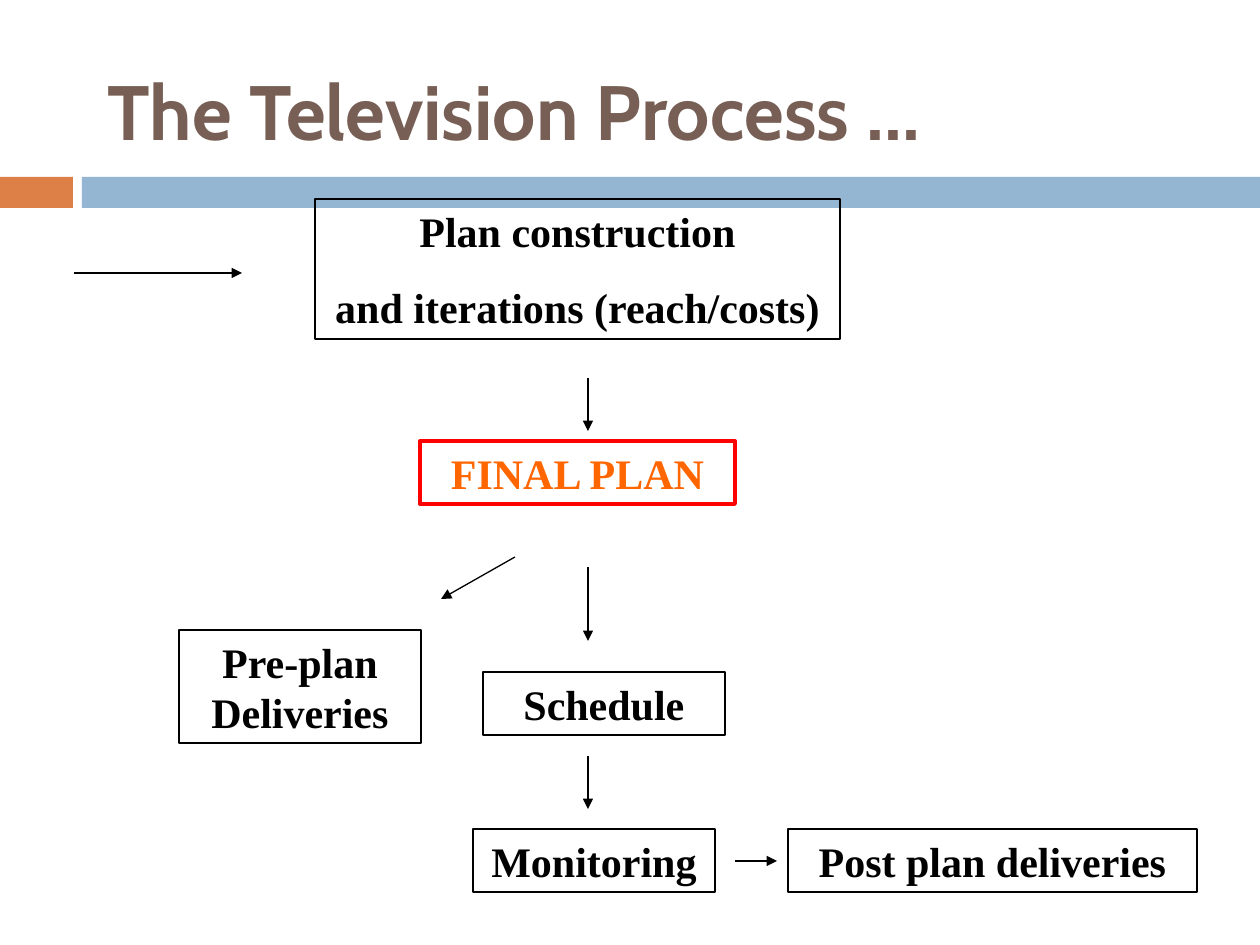
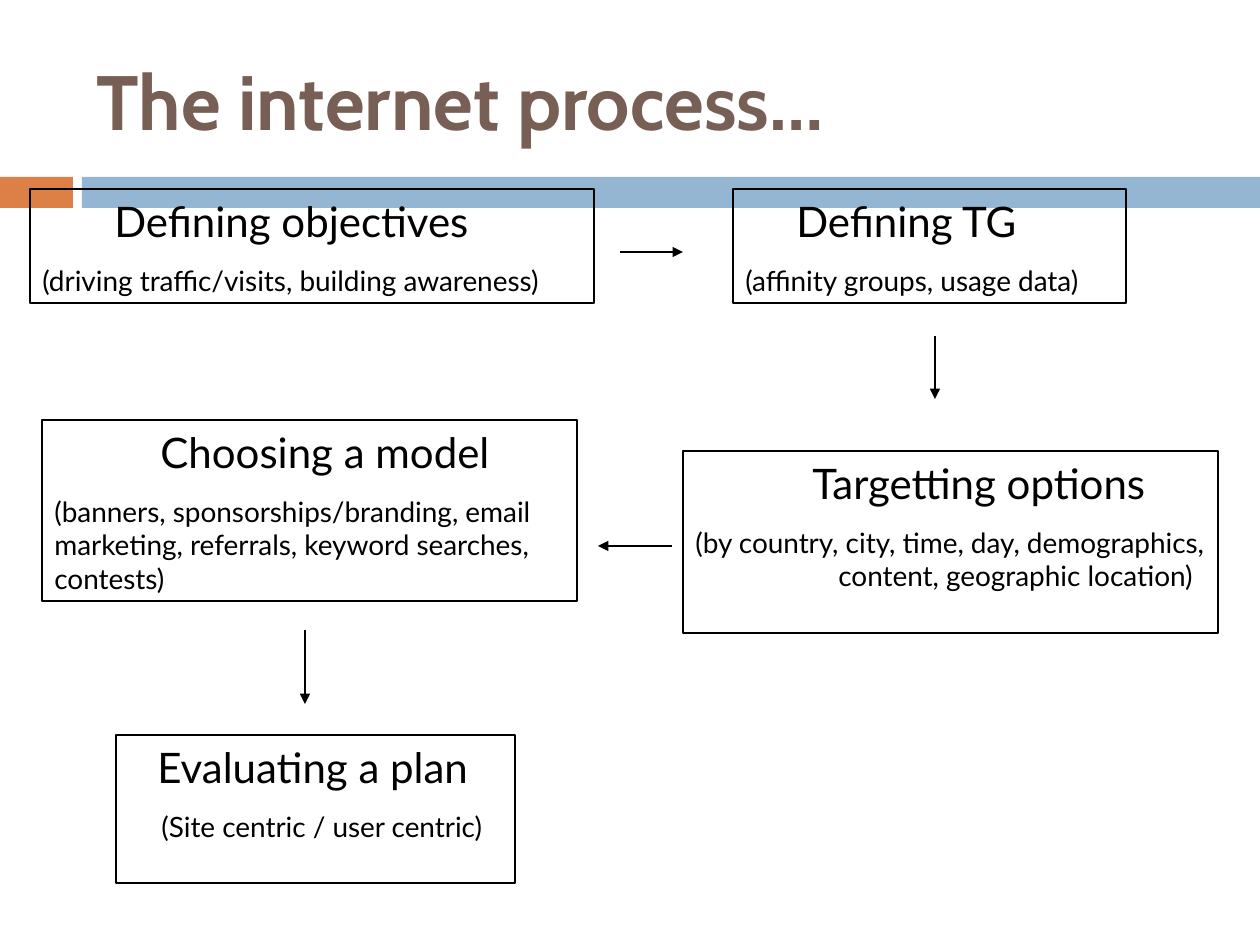
from lxml import etree
from pptx import Presentation
from pptx.dml.color import RGBColor
from pptx.enum.shapes import MSO_CONNECTOR, MSO_SHAPE
from pptx.enum.text import MSO_ANCHOR, MSO_AUTO_SIZE, PP_ALIGN
from pptx.oxml.ns import qn
from pptx.util import Emu, Pt

STRAIGHT = MSO_CONNECTOR.STRAIGHT
RECTANGLE = MSO_SHAPE.RECTANGLE
TOP, MIDDLE = MSO_ANCHOR.TOP, MSO_ANCHOR.MIDDLE
LEFT, CENTER = PP_ALIGN.LEFT, PP_ALIGN.CENTER
FIXED_SIZE = MSO_AUTO_SIZE.NONE

PIXELS_PER_INCH = 126
SLIDE_WIDTH, SLIDE_HEIGHT = 1260, 945
TITLE_ONLY_LAYOUT = 5
FIRST_BAND_ID = 101

BLACK, BROWN, ORANGE, BLUE = "000000", "775F55", "DD8047", "94B6D2"
RED, BRIGHT_ORANGE = "FF0000", "FF6600"
TITLE_FONT, TELEVISION_FONT, INTERNET_FONT = "Cabin", "Times New Roman", "Lato"

BANDS = [((0, 177, 73, 31), ORANGE), ((82, 177, 1178, 31), BLUE)]

TELEVISION_STEPS = [
    ((315, 199, 525, 140), ["Plan construction", "and iterations (reach/costs)"]),
    ((483, 672, 242, 63), ["Schedule"]),
    ((179, 630, 242, 113), ["Pre-plan Deliveries"]),
    ((473, 829, 242, 63), ["Monitoring"]),
    ((788, 829, 409, 63), ["Post plan deliveries"]),
]
TELEVISION_ARROWS = [
    (74, 273, 242, 273),
    (588, 378, 588, 431),
    (515, 557, 441, 599),
    (588, 567, 588, 641),
    (588, 756, 588, 809),
    (735, 861, 777, 861),
]

INTERNET_STEPS = [
    ((30, 189, 564, 114), ("Defining objectives", 72),
     ("(driving traffic/visits, building awareness)", 0, 0)),
    ((733, 189, 393, 114), ("Defining TG", 51),
     ("(affinity groups, usage data)", 0, 0)),
    ((683, 451, 535, 182), ("Targetting options", 117),
     ("(by country, city, time, day, demographics, content, geographic location)",
      143, -143)),
    ((42, 420, 535, 181), ("Choosing a model", 106),
     ("(banners, sponsorships/branding, email marketing, referrals, "
      "keyword searches, contests)", 0, 0)),
    ((116, 735, 399, 148), ("Evaluating a plan", 29),
     ("(Site centric / user centric)", 33, 0)),
]
INTERNET_ARROWS = [
    (620, 252, 683, 252),
    (935, 336, 935, 399),
    (672, 546, 598, 546),
    (305, 630, 305, 704),
]


def px(length):
    """Turn whole pixels into EMU."""
    return Emu(round(length * 914400 / PIXELS_PER_INCH))


def color(value):
    """Turn a hex string into a colour."""
    return RGBColor.from_string(value)


def add_text(paragraph, text, font_name, size, text_color=BLACK, bold=False):
    """Add one formatted run to a paragraph."""
    run = paragraph.add_run()
    run.text = text
    run.font.name = font_name
    run.font.size = Pt(size)
    run.font.bold = bold
    run.font.color.rgb = color(text_color)


def indent(paragraph, left, first_line=0):
    """Set the left margin and first-line indent of a paragraph."""
    properties = paragraph._p.get_or_add_pPr()
    properties.set("marL", str(px(left)))
    properties.set("indent", str(px(first_line)))


def add_bands(slide, layout):
    """Draw the two bands and hand them to the shared layout."""
    for number, (box, fill_color) in enumerate(BANDS):
        band = slide.shapes.add_shape(RECTANGLE, *map(px, box))
        band.shadow.inherit = False
        band.fill.solid()
        band.fill.fore_color.rgb = color(fill_color)
        band.line.fill.background()
        band.element.nvSpPr.cNvPr.set("id", str(FIRST_BAND_ID + number))
        layout.shapes.element.append(band.element)


def set_title(slide, box, text):
    """Place and format the slide title."""
    title = slide.shapes.title
    title.left, title.top, title.width, title.height = map(px, box)
    frame = title.text_frame
    frame.auto_size = FIXED_SIZE
    frame.word_wrap = True
    frame.vertical_anchor = MIDDLE
    paragraph = frame.paragraphs[0]
    paragraph.alignment = LEFT
    add_text(paragraph, text, TITLE_FONT, 44, BROWN, True)


def add_box(slide, box, line_color=BLACK, line_width=1):
    """Add an outlined step box and return its text frame."""
    shape = slide.shapes.add_shape(RECTANGLE, *map(px, box))
    shape.shadow.inherit = False
    shape.fill.background()
    shape.line.color.rgb = color(line_color)
    shape.line.width = Pt(line_width)
    frame = shape.text_frame
    frame.word_wrap = True
    frame.vertical_anchor = TOP
    return frame


def add_arrows(slide, arrows):
    """Add thin black arrows between steps."""
    for ends in arrows:
        arrow = slide.shapes.add_connector(STRAIGHT, *map(px, ends))
        arrow.line.color.rgb = color(BLACK)
        arrow.line.width = Pt(0.75)
        properties = arrow.element.spPr
        etree.SubElement(properties.find(qn("a:ln")), qn("a:tailEnd"), type="triangle")
        etree.SubElement(properties, qn("a:effectLst"))


def add_television_step(slide, box, lines, text_color=BLACK, line_color=BLACK, line_width=0.75):
    """Add a box with centred bold lines."""
    frame = add_box(slide, box, line_color, line_width)
    for number, line in enumerate(lines):
        paragraph = frame.add_paragraph() if number else frame.paragraphs[0]
        paragraph.alignment = CENTER
        if number:
            paragraph.space_before = Pt(15)
        add_text(paragraph, line, TELEVISION_FONT, 24, text_color, True)


def add_internet_step(slide, box, heading, detail):
    """Add a box with an indented heading and a smaller detail."""
    frame = add_box(slide, box)
    heading_text, heading_indent = heading
    detail_text, detail_indent, first_line = detail
    paragraph = frame.paragraphs[0]
    paragraph.alignment = LEFT
    indent(paragraph, heading_indent)
    add_text(paragraph, heading_text, INTERNET_FONT, 24)
    paragraph = frame.add_paragraph()
    paragraph.alignment = LEFT
    paragraph.space_before = Pt(10)
    indent(paragraph, detail_indent, first_line)
    add_text(paragraph, detail_text, INTERNET_FONT, 16)


def build_television_slide(slide):
    """Build the television planning flow."""
    set_title(slide, (95, 42, 1071, 136), "The Television Process ...")
    for box, lines in TELEVISION_STEPS:
        add_television_step(slide, box, lines)
    add_television_step(slide, (420, 441, 315, 63), ["FINAL PLAN"], BRIGHT_ORANGE, RED, 2.25)
    add_arrows(slide, TELEVISION_ARROWS)


def build_internet_slide(slide):
    """Build the internet planning flow."""
    set_title(slide, (84, 42, 1071, 116), "The internet process…")
    for box, heading, detail in INTERNET_STEPS:
        add_internet_step(slide, box, heading, detail)
    add_arrows(slide, INTERNET_ARROWS)


def main():
    """Build and save the presentation."""
    presentation = Presentation()
    presentation.slide_width = px(SLIDE_WIDTH)
    presentation.slide_height = px(SLIDE_HEIGHT)
    layout = presentation.slide_layouts[TITLE_ONLY_LAYOUT]
    television_slide = presentation.slides.add_slide(layout)
    add_bands(television_slide, layout)
    build_television_slide(television_slide)
    build_internet_slide(presentation.slides.add_slide(layout))
    presentation.save("out.pptx")


if __name__ == "__main__":
    main()
